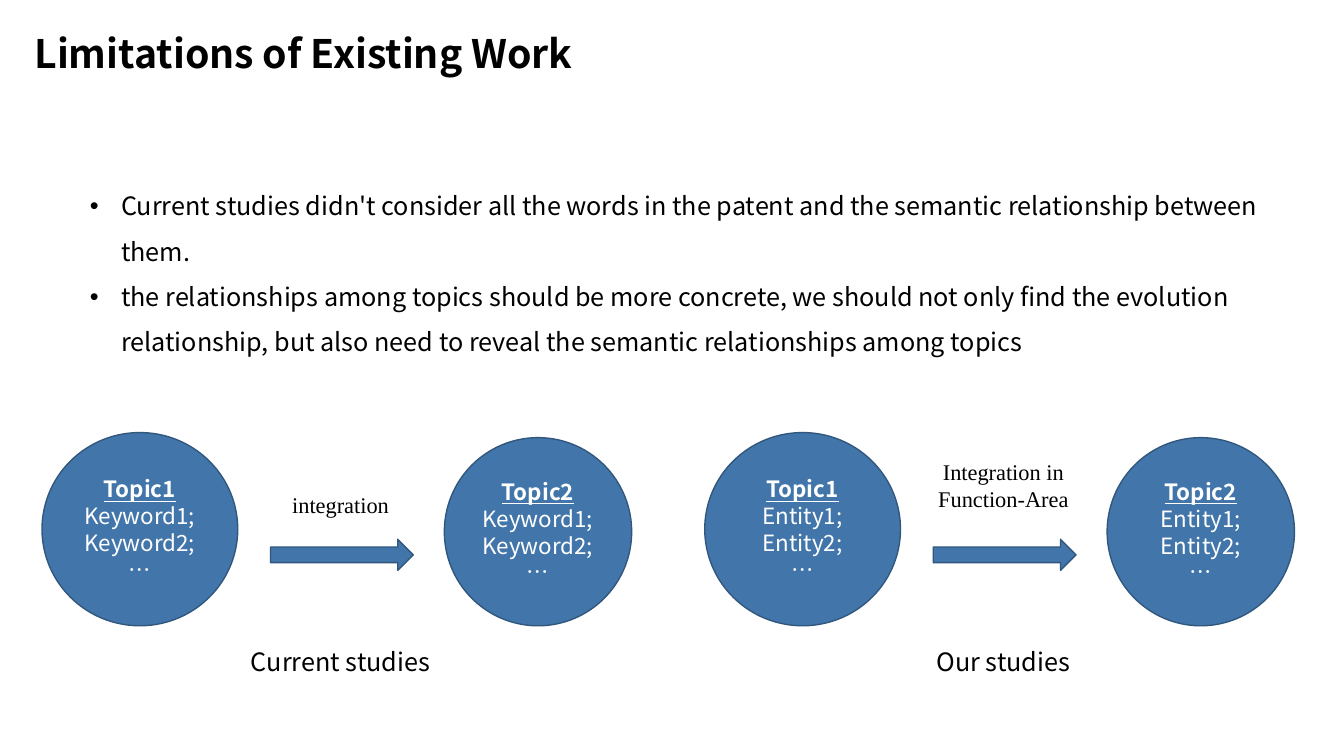
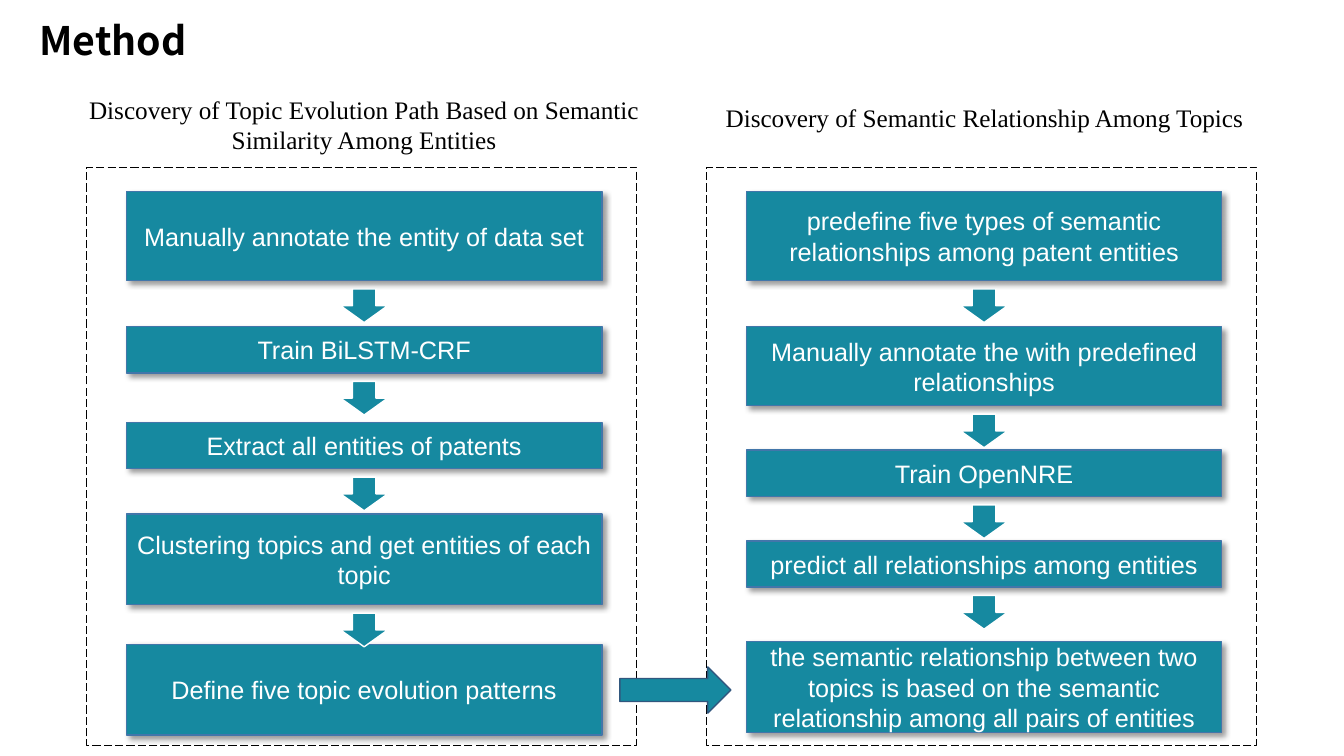
from itertools import pairwise

from lxml.etree import SubElement
from pptx import Presentation
from pptx.dml.color import RGBColor as Rgb
from pptx.enum.dml import MSO_LINE as Dash
from pptx.enum.shapes import MSO_SHAPE as Shape
from pptx.enum.text import MSO_ANCHOR as Anchor, MSO_AUTO_SIZE as AutoSize, PP_ALIGN as Align
from pptx.oxml.ns import qn
from pptx.util import Inches, Pt

COLORS = {
    "text": "000000", "light": "FFFFFF", "blue": "4276AA",
    "navy": "31577E", "teal": "1689A0",
}
SANS, SERIF, STEP_FONT = "Noto Sans CJK SC", "Times New Roman", "Arial"
COLUMNS, ROWS = 160, 90

deck = Presentation()
deck.slide_width, deck.slide_height = Inches(13.33), Inches(7.5)
COL, ROW = deck.slide_width / COLUMNS, deck.slide_height / ROWS


def place(box):
    """Turn a box in grid columns and rows into slide lengths."""
    left, top, width, height = box
    return round(left * COL), round(top * ROW), round(width * COL), round(height * ROW)


def within(region, left, top, width, height):
    """Shift a box given relative to a region onto the slide grid."""
    return region[0] + left, region[1] + top, width, height


def write(part, lines, size=18, font=SANS, color="text", bold=False, align=Align.CENTER,
          anchor=Anchor.TOP, spacing=None, hanging=None, underlined_lead=False):
    """Fill a part with one paragraph per line; the lead line may be bold and underlined."""
    frame = part.text_frame
    frame.text = "\n".join(lines)
    frame.word_wrap, frame.auto_size = True, AutoSize.NONE
    frame.vertical_anchor = anchor
    for index, paragraph in enumerate(frame.paragraphs):
        lead = underlined_lead and index == 0
        paragraph.alignment = align
        paragraph.space_before = Pt(0)
        if spacing:
            paragraph.line_spacing = spacing
        if hanging:
            properties = paragraph._p.get_or_add_pPr()
            properties.set("marL", str(hanging))
            properties.set("indent", str(-hanging))
        for run in paragraph.runs:
            run.font.size, run.font.name = Pt(size), font
            run.font.bold, run.font.underline = bold or lead, lead
            run.font.color.rgb = Rgb.from_string(COLORS[color])


def add_label(slide, box, text, **text_format):
    """Add a line of free text in a box."""
    write(slide.shapes.add_textbox(*place(box)), [text], **text_format)


def add_figure(slide, kind, box, fill, line, weight=1):
    """Add a flat preset shape; without a fill it stays hollow."""
    figure = slide.shapes.add_shape(kind, *place(box))
    figure.shadow.inherit = False
    if fill:
        figure.fill.solid()
        figure.fill.fore_color.rgb = Rgb.from_string(COLORS[fill])
    else:
        figure.fill.background()
    figure.line.color.rgb = Rgb.from_string(COLORS[line])
    figure.line.width = Pt(weight)
    return figure


def cast_shadow(figure):
    """Give a figure a soft shadow towards the lower right."""
    effects = figure._element.spPr.find(qn("a:effectLst"))
    shadow = SubElement(effects, qn("a:outerShdw"), blurRad=str(Pt(4)), dist=str(Pt(3)),
                        dir=str(45 * 60000), algn="tl", rotWithShape="0")
    tint = SubElement(shadow, qn("a:srgbClr"), val=COLORS["text"])
    SubElement(tint, qn("a:alpha"), val="40000")


def set_placeholder(placeholder, box, lines, **text_format):
    """Move a template placeholder into a box and fill it."""
    placeholder.left, placeholder.top, placeholder.width, placeholder.height = place(box)
    write(placeholder, lines, align=Align.LEFT, **text_format)


def add_slide(layout, title, box):
    """Start a slide with the shared title style."""
    slide = deck.slides.add_slide(deck.slide_layouts.get_by_name(layout))
    set_placeholder(slide.shapes.title, box, [title], size=28, bold=True)
    return slide


def add_topic(slide, box, name, item):
    """Draw a topic circle with its numbered items."""
    circle = add_figure(slide, Shape.OVAL, box, "blue", "navy")
    write(circle, [name, f"{item}1;", f"{item}2;", "…"], size=16, color="light",
          anchor=Anchor.MIDDLE, underlined_lead=True)


def add_study(slide, region, item, link, link_top, caption):
    """Draw two topics joined by a labelled arrow, with a caption below."""
    add_topic(slide, within(region, 0, 0, 23.3, 23), "Topic1", item)
    add_figure(slide, Shape.RIGHT_ARROW, within(region, 27.2, 12.7, 17, 3.7), "blue", "navy")
    add_topic(slide, within(region, 47.9, 0.6, 22.3, 22.4), "Topic2", item)
    add_label(slide, within(region, 26, link_top, 19.1, 10.5 - link_top), link,
              size=16, font=SERIF)
    add_label(slide, within(region, 18.8, 24.8, 33.5, 4.8), caption)


def add_flow(slide, region, steps):
    """Draw a dashed frame of steps (text, top, height) with arrows between them."""
    frame = add_figure(slide, Shape.RECTANGLE, region, None, "text", 0.75)
    frame.line.dash_style = Dash.LONG_DASH
    step_width, arrow_width, arrow_height, arrow_gap = 56.6, 5.6, 4, 1
    step_left = 4.75
    arrow_left = step_left + (step_width - arrow_width) / 2
    for text, top, height in steps:
        step = add_figure(slide, Shape.RECTANGLE,
                          within(region, step_left, top, step_width, height), "teal", "blue")
        cast_shadow(step)
        write(step, [text], font=STEP_FONT, color="light", anchor=Anchor.MIDDLE)
    for (_, top, height), _ in pairwise(steps):
        arrow_box = within(region, arrow_left, top + height + arrow_gap,
                           arrow_width, arrow_height)
        add_figure(slide, Shape.DOWN_ARROW, arrow_box, "teal", "light")


def build_limitations():
    """Build the slide that compares current studies with ours."""
    slide = add_slide("Title and Content", "Limitations of Existing Work", (2.9, 2.9, 75.4, 6.8))
    set_placeholder(slide.placeholders[1], (9.5, 20.3, 146, 17), [
        "Current studies didn't consider all the words in the patent and the semantic "
        "relationship between them.",
        "the relationships among topics should be more concrete, we should not only find the "
        "evolution relationship, but also need to reveal the semantic relationships among topics",
    ], spacing=1.5, hanging=Inches(0.31))
    studies = [
        ("Keyword", "integration", 6.4, "Current studies"),
        ("Entity", "Integration in Function-Area", 2.5, "Our studies"),
    ]
    for index, study in enumerate(studies):
        add_study(slide, (5 + 78.9 * index, 51.5, 70.2, 29.6), *study)


def build_method():
    """Build the slide with the two step flows."""
    slide = add_slide("Title Only", "Method", (3.5, 1.3, 79.9, 6.8))
    frame_top, frame_width, frame_height = 19.9, 65.5, 68.8
    add_label(slide, (3.4, 10.6, 79.9, 8.5),
              "Discovery of Topic Evolution Path Based on Semantic Similarity Among Entities",
              font=SERIF)
    add_flow(slide, (10.3, frame_top, frame_width, frame_height), [
        ("Manually annotate the entity of data set", 2.9, 10.6),
        ("Train BiLSTM-CRF", 19, 5.5),
        ("Extract all entities of patents", 30.4, 5.5),
        ("Clustering topics and get entities of each topic", 41.3, 10.8),
        ("Define five topic evolution patterns", 56.8, 10.8),
    ])
    add_label(slide, (85.2, 11.6, 74, 4.8),
              "Discovery of Semantic Relationship Among Topics", font=SERIF, align=Align.LEFT)
    add_flow(slide, (84.1, frame_top, frame_width, frame_height), [
        ("predefine five types of semantic relationships among patent entities", 2.9, 10.6),
        ("Manually annotate the with predefined relationships", 19, 9.4),
        ("Train OpenNRE", 33.7, 5.5),
        ("predict all relationships among entities", 44.5, 5.5),
        ("the semantic relationship between two topics is based on the semantic "
         "relationship among all pairs of entities", 56.5, 10.8),
    ])
    add_figure(slide, Shape.RIGHT_ARROW, (73.8, 79.4, 13.2, 5.5), "teal", "navy")


build_limitations()
build_method()
deck.save("out.pptx")
